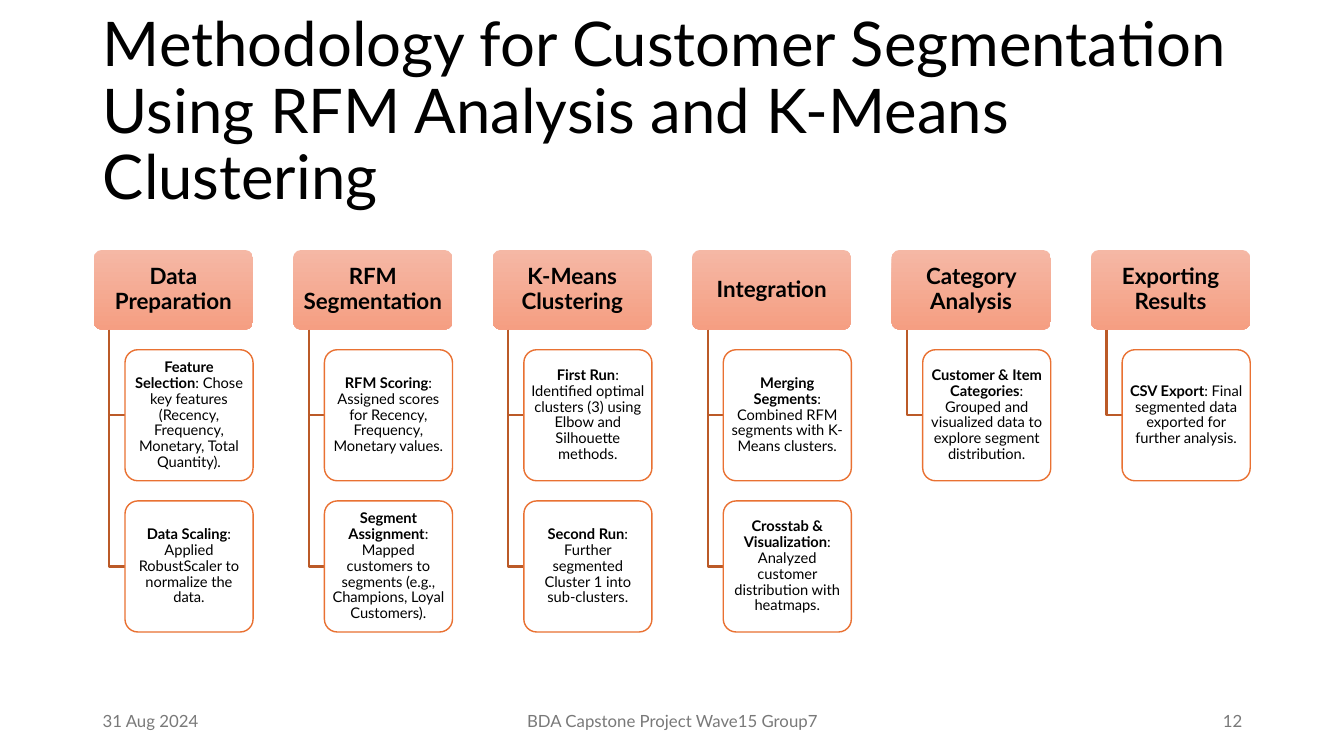
"""Build the customer segmentation methodology slide."""
from pptx import Presentation
from pptx.dml.color import RGBColor
from pptx.enum.shapes import MSO_SHAPE as Shape
from pptx.enum.text import MSO_ANCHOR as Anchor, MSO_AUTO_SIZE as AutoSize, PP_ALIGN as Align
from pptx.util import Inches, Pt

COLORS = {
    "text": "000000",
    "footer": "797979",
    "header_top": "F5B8A5",
    "header_bottom": "F59E82",
    "card": "FFFFFF",
    "card_line": "E97132",
    "branch": "BB5A28",
}
STAGES = [
    ("Data Preparation", [
        ("Feature Selection", ": Chose key features (Recency, Frequency, Monetary, Total Quantity)."),
        ("Data Scaling", ": Applied RobustScaler to normalize the data."),
    ]),
    ("RFM Segmentation", [
        ("RFM Scoring", ": Assigned scores for Recency, Frequency, Monetary values."),
        ("Segment Assignment", ": Mapped customers to segments (e.g., Champions, Loyal Customers)."),
    ]),
    ("K-Means Clustering", [
        ("First Run", ": Identified optimal clusters (3) using Elbow and Silhouette methods."),
        ("Second Run", ": Further segmented Cluster 1 into sub-clusters."),
    ]),
    ("Integration", [
        ("Merging Segments", ": Combined RFM segments with K-Means clusters."),
        ("Crosstab & Visualization", ": Analyzed customer distribution with heatmaps."),
    ]),
    ("Category Analysis", [
        ("Customer & Item Categories", ": Grouped and visualized data to explore segment distribution."),
    ]),
    ("Exporting Results", [
        ("CSV Export", ": Final segmented data exported for further analysis."),
    ]),
]
FOOTERS = [
    (0.92, 3, "31 Aug 2024", Align.LEFT),
    (4.42, 4.5, "BDA Capstone Project Wave15 Group7", Align.CENTER),
    (9.42, 3, "12", Align.RIGHT),
]
LEFT, TOP, PITCH = 0.93, 2.48, 1.978
HEADER_WIDTH, HEADER_HEIGHT = 1.58, 0.79
CARD_WIDTH, CARD_HEIGHT, CARD_GAP = 1.27, 1.3, 0.2
INDENT = 0.155


def style_text(paragraph, size, color, align):
    paragraph.alignment = align
    paragraph.font.name = "Lato"
    paragraph.font.size = Pt(size)
    paragraph.font.color.rgb = RGBColor.from_string(COLORS[color])


def add_rounded_box(left, top, width, height, size, side_margin):
    box = page.shapes.add_shape(
        Shape.ROUNDED_RECTANGLE, Inches(left), Inches(top), Inches(width), Inches(height))
    box.adjustments[0] = 0.1
    box.shadow.inherit = False
    frame = box.text_frame
    frame.word_wrap = True
    frame.vertical_anchor = Anchor.MIDDLE
    frame.margin_left = frame.margin_right = Inches(side_margin)
    frame.margin_top = frame.margin_bottom = Inches(0.02)
    para = frame.paragraphs[0]
    para.line_spacing = 0.9
    style_text(para, size, "text", Align.CENTER)
    return box, para


deck = Presentation()
deck.slide_width, deck.slide_height = Inches(13.33), Inches(7.5)
page = deck.slides.add_slide(deck.slide_layouts[5])

title = page.shapes.title
title.left, title.top, title.width, title.height = map(Inches, (0.92, 0.4, 11.5, 1.45))
title.text_frame.text = "Methodology for Customer Segmentation Using RFM Analysis and K-Means Clustering"
title.text_frame.word_wrap = True
title.text_frame.auto_size = AutoSize.NONE
title.text_frame.vertical_anchor = Anchor.MIDDLE
title_para = title.text_frame.paragraphs[0]
title_para.line_spacing = 0.9
style_text(title_para, 44, "text", Align.LEFT)

for left, width, text, align in FOOTERS:
    footer = page.shapes.add_textbox(Inches(left), Inches(6.95), Inches(width), Inches(0.4))
    footer.text_frame.text = text
    footer.text_frame.word_wrap = True
    footer.text_frame.vertical_anchor = Anchor.MIDDLE
    style_text(footer.text_frame.paragraphs[0], 12, "footer", align)

for column, (stage, steps) in enumerate(STAGES):
    left = LEFT + column * PITCH
    header, para = add_rounded_box(left, TOP, HEADER_WIDTH, HEADER_HEIGHT, 16, 0.03)
    header.fill.gradient()
    header.fill.gradient_angle = 270
    for stop, name in zip(header.fill.gradient_stops, ("header_top", "header_bottom")):
        stop.color.rgb = RGBColor.from_string(COLORS[name])
    header.line.fill.background()
    para.text = stage
    para.font.bold = True

    trunk_x, card_x = left + INDENT, left + 2 * INDENT
    header_bottom = TOP + HEADER_HEIGHT
    for row, (name, detail) in enumerate(steps):
        card_y = header_bottom + CARD_GAP + row * (CARD_HEIGHT + CARD_GAP)
        middle = card_y + CARD_HEIGHT / 2
        outline = page.shapes.build_freeform(Inches(trunk_x), Inches(header_bottom))
        outline.add_line_segments(
            [(Inches(trunk_x), Inches(middle)), (Inches(card_x), Inches(middle))], close=False)
        branch = outline.convert_to_shape()
        branch.shadow.inherit = False
        branch.fill.background()
        branch.line.color.rgb = RGBColor.from_string(COLORS["branch"])
        branch.line.width = Pt(1.5)

        card, para = add_rounded_box(card_x, card_y, CARD_WIDTH, CARD_HEIGHT, 10.5, 0.02)
        card.fill.solid()
        card.fill.fore_color.rgb = RGBColor.from_string(COLORS["card"])
        card.line.color.rgb = RGBColor.from_string(COLORS["card_line"])
        card.line.width = Pt(1)
        span = para.add_run()
        span.text = name
        span.font.bold = True
        para.add_run().text = detail

deck.save("out.pptx")
